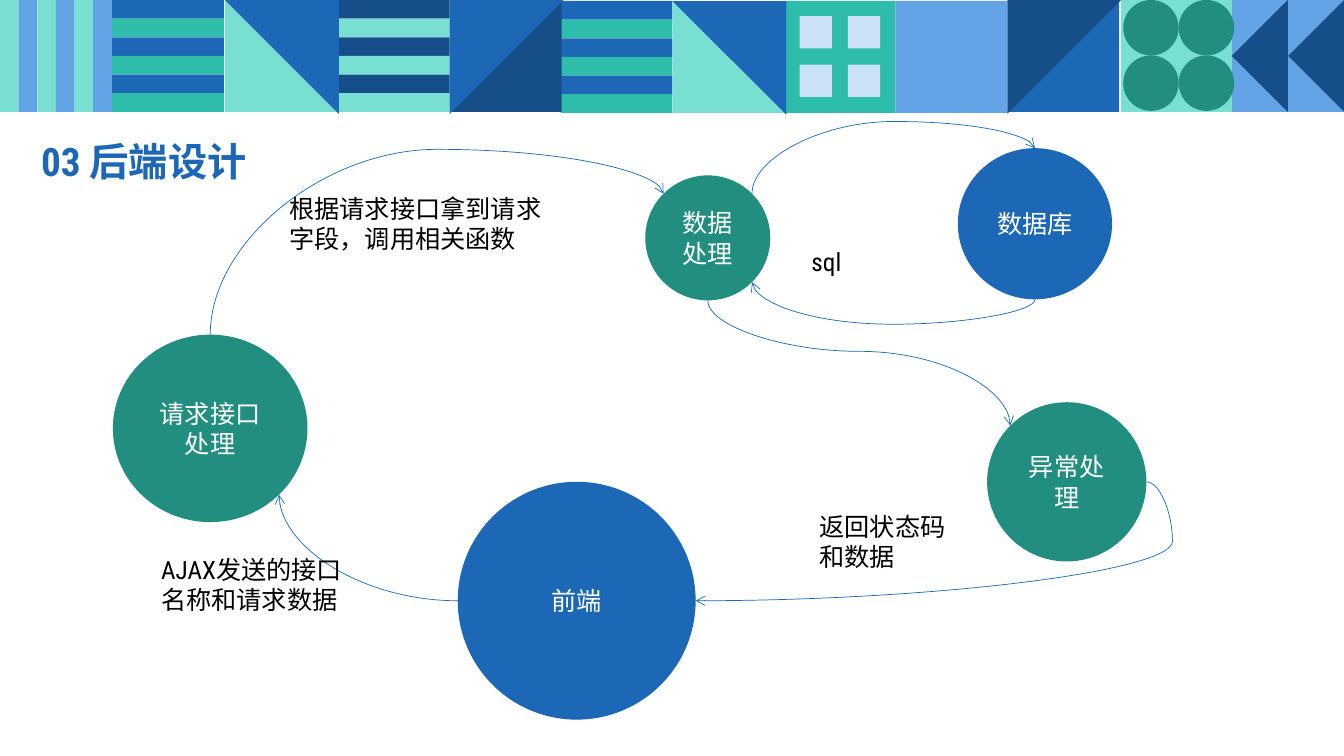
from math import cos, radians, sin

from lxml import etree
from pptx import Presentation
from pptx.dml.color import RGBColor
from pptx.enum.shapes import MSO_CONNECTOR, MSO_SHAPE
from pptx.enum.text import MSO_ANCHOR, MSO_AUTO_SIZE, PP_ALIGN
from pptx.oxml.ns import qn
from pptx.util import Inches, Pt

RECTANGLE, OVAL = MSO_SHAPE.RECTANGLE, MSO_SHAPE.OVAL
CORNER, ARROWHEAD = MSO_SHAPE.RIGHT_TRIANGLE, MSO_SHAPE.ISOSCELES_TRIANGLE
CURVE, CENTER, LEFT = MSO_CONNECTOR.CURVE, PP_ALIGN.CENTER, PP_ALIGN.LEFT
MIDDLE, TOP = MSO_ANCHOR.MIDDLE, MSO_ANCHOR.TOP
FIT, FIXED = MSO_AUTO_SIZE.SHAPE_TO_FIT_TEXT, MSO_AUTO_SIZE.NONE

WIDTH, HEIGHT, TILE, STRIPES = 13.33, 7.5, 1.11, 6
FONT = "Roboto Condensed"
BLUE, NAVY, SKY, PALE = "1C68B6", "154E88", "63A4E7", "CBE1F7"
MINT, TEAL, GREEN, WHITE, BLACK = "79DFD2", "2DBDAA", "228E80", "FFFFFF", "000000"

ROW_TILES = [(1.11, 0, BLUE, TEAL), (3.35, 0, NAVY, MINT), (5.56, 0.01, BLUE, TEAL)]
SPLIT_TILES = [
    (2.23, 0, MINT, 0, BLUE, 180),
    (4.46, 0, NAVY, 270, BLUE, 90),
    (6.67, 0.01, MINT, 0, BLUE, 180),
    (9.99, 0, BLUE, 270, NAVY, 90),
]
PLAIN_TILES = [(7.77, 0.01, TEAL), (8.88, 0.01, SKY), (11.12, 0, MINT), (12.22, 0, SKY)]
DOT_TILES = [
    (RECTANGLE, 7.93, 0.16, 0.48, 0.32, PALE),
    (OVAL, 11.14, 0, 0.55, 0.55, GREEN),
]

TITLE = ("03 后端设计", 0.31, 1.31, 3.84, 0.63)
CIRCLES = {
    "异常处理": (9.79, 3.99, 1.58, 1.58, GREEN),
    "请求接口处理": (1.12, 3.32, 1.93, 1.86, GREEN),
    "数据处理": (6.4, 1.74, 1.24, 1.24, GREEN),
    "前端": (4.54, 4.78, 2.36, 2.36, BLUE),
    "数据库": (9.5, 1.47, 1.53, 1.5, BLUE),
}
FLOWS = [
    ("前端", 2, "请求接口处理", 5, 180, None),
    ("请求接口处理", 0, "数据处理", 1, 270, 1.315),
    ("数据处理", 7, "数据库", 0, 270, 1.587),
    ("数据库", 4, "数据处理", 5, 90, -1.437),
    ("数据处理", 4, "异常处理", 1, 90, 0.407),
    ("异常处理", 6, "前端", 6, 0, -0.058),
]
LABELS = [
    ("AJAX发送的接口名称和请求数据", 1.5, 5.45, 2.01, 0.71),
    ("sql", 7.95, 2.39, 1.14, 0.4),
    ("根据请求接口拿到请求字段，调用相关函数", 2.77, 1.87, 2.81, 0.71),
    ("返回状态码和数据", 8.03, 5.02, 1.48, 0.71),
]


def color(value):
    return RGBColor.from_string(value)


def apply(target, values):
    for name, value in values.items():
        setattr(target, name, value)


def add_block(slide, kind, left, top, width, height, fill, rotation=0):
    shape = slide.shapes.add_shape(kind, *map(Inches, (left, top, width, height)))
    shape.shadow.inherit = False
    shape.fill.solid()
    shape.fill.fore_color.rgb = color(fill)
    shape.line.fill.background()
    shape.rotation = rotation
    return shape


def write(shape, text, ink, size=18, bold=False, align=LEFT, anchor=TOP, fit=FIXED):
    frame = shape.text_frame
    apply(frame, {"word_wrap": True, "vertical_anchor": anchor, "auto_size": fit})
    paragraph = frame.paragraphs[0]
    paragraph.alignment = align
    run = paragraph.add_run()
    run.text = text
    apply(run.font, {"name": FONT, "size": Pt(size), "bold": bold})
    run.font.color.rgb = color(ink)
    return paragraph


def add_text(slide, text, left, top, width, height, **style):
    box = slide.shapes.add_textbox(*map(Inches, (left, top, width, height)))
    return write(box, text, **style)


def draw_band(slide):
    stripe = TILE / STRIPES
    for index in range(STRIPES):
        add_block(slide, RECTANGLE, index * stripe, 0, stripe, TILE, (MINT, SKY)[index % 2])
        for left, top, *fills in ROW_TILES:
            add_block(slide, RECTANGLE, left, top + index * stripe, TILE, stripe, fills[index % 2])
    for left, top, fill in PLAIN_TILES:
        add_block(slide, RECTANGLE, left, top, TILE, TILE, fill)
    for left, top, back, back_turn, front, front_turn in SPLIT_TILES:
        add_block(slide, CORNER, left, top, TILE, TILE, back, back_turn)
        add_block(slide, CORNER, left, top, TILE + 0.02, TILE + 0.02, front, front_turn)
    for kind, left, top, pitch, size, fill in DOT_TILES:
        for index in range(4):
            row, column = divmod(index, 2)
            add_block(slide, kind, left + column * pitch, top + row * pitch, size, size, fill)
    for left in (11.94, 12.5):
        add_block(slide, ARROWHEAD, left, TILE / 4, TILE, TILE / 2, NAVY, 270)


def rim_point(name, site):
    left, top, width, height, _ = CIRCLES[name]
    angle = radians(-90 - 45 * site)
    return left + width / 2 * (1 + cos(angle)), top + height / 2 * (1 + sin(angle))


def add_flow(slide, shapes, source, source_site, target, target_site, turn, bend):
    begin, end = rim_point(source, source_site), rim_point(target, target_site)
    middle_x, middle_y = (begin[0] + end[0]) / 2, (begin[1] + end[1]) / 2
    half_x, half_y = end[0] - middle_x, end[1] - middle_y
    cosine, sine = cos(radians(turn)), sin(radians(turn))
    frame_x = half_x * cosine + half_y * sine
    frame_y = half_y * cosine - half_x * sine
    corners = (middle_x - frame_x, middle_y - frame_y, middle_x + frame_x, middle_y + frame_y)
    connector = slide.shapes.add_connector(CURVE, *map(Inches, corners))
    connector.line.color.rgb = color(BLUE)
    connector.line.width = Pt(0.5)
    properties = connector._element.spPr
    properties.find(qn("a:xfrm")).set("rot", str(turn * 60000))
    geometry = properties.find(qn("a:prstGeom"))
    if bend is None:
        geometry.set("prst", "curvedConnector2")
    else:
        guide = etree.SubElement(geometry.find(qn("a:avLst")), qn("a:gd"))
        guide.set("name", "adj1")
        guide.set("fmla", f"val {round(bend * 100000)}")
    etree.SubElement(properties.find(qn("a:ln")), qn("a:tailEnd")).set("type", "arrow")
    etree.SubElement(properties, qn("a:effectLst"))
    joints = next(connector._element.iter(qn("p:cNvCxnSpPr")))
    for tag, name, site in (("a:stCxn", source, source_site), ("a:endCxn", target, target_site)):
        joint = etree.SubElement(joints, qn(tag))
        joint.set("id", str(shapes[name].shape_id))
        joint.set("idx", str(site))


def main():
    """Build the back-end design slide and save it."""
    presentation = Presentation()
    apply(presentation, {"slide_width": Inches(WIDTH), "slide_height": Inches(HEIGHT)})
    slide = presentation.slides.add_slide(presentation.slide_layouts[6])
    draw_band(slide)
    heading = add_text(slide, *TITLE, ink=BLUE, size=28, bold=True, anchor=MIDDLE)
    apply(heading, {"line_spacing": 0.9, "space_before": Pt(10)})
    shapes = {}
    for name, (*place, fill) in CIRCLES.items():
        shapes[name] = add_block(slide, OVAL, *place, fill)
        write(shapes[name], name, WHITE, align=CENTER, anchor=MIDDLE)
    for flow in FLOWS:
        add_flow(slide, shapes, *flow)
    for label in LABELS:
        add_text(slide, *label, ink=BLACK, fit=FIT)
    presentation.save("out.pptx")


if __name__ == "__main__":
    main()
